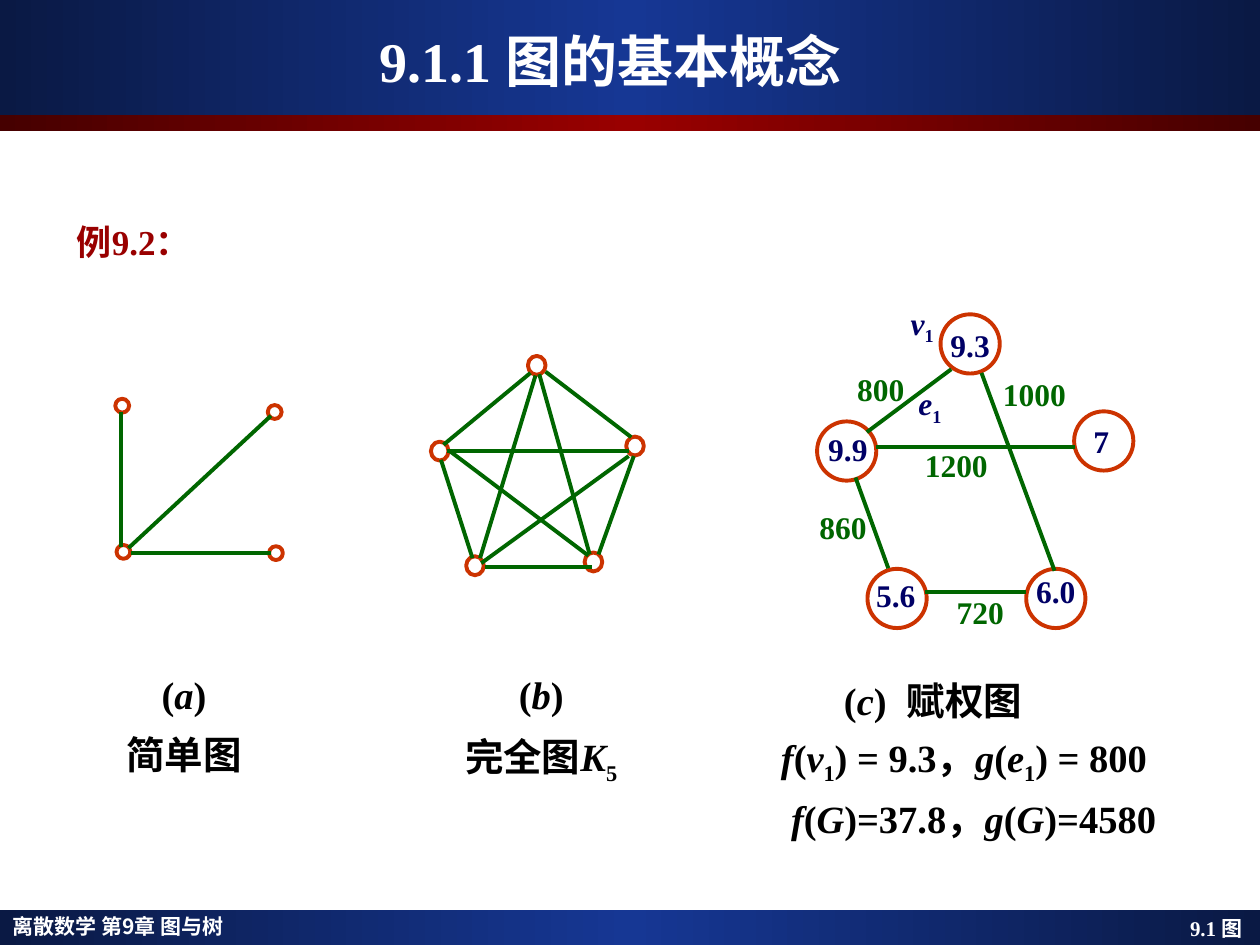
import copy

import pptx
import pptx.dml.color
import pptx.enum.dml
import pptx.enum.shapes
import pptx.enum.text
import pptx.oxml
import pptx.oxml.ns
import pptx.util
from pptx.util import Inches, Pt

RGBColor = pptx.dml.color.RGBColor
ALIGN = pptx.enum.text.PP_ALIGN
ANCHOR = pptx.enum.text.MSO_ANCHOR
SHAPE = pptx.enum.shapes.MSO_SHAPE

WHITE = RGBColor(0xFF, 0xFF, 0xFF)
BLACK = RGBColor(0, 0, 0)
NAVY = RGBColor(0x0A, 0x19, 0x44)
BLUE = RGBColor(0x16, 0x37, 0x94)
MAROON = RGBColor(0x46, 0, 0)
RED = RGBColor(0x99, 0, 0)
VERTEX_COLOR = RGBColor(0xCC, 0x33, 0)
EDGE_COLOR = RGBColor(0, 0x66, 0)
LABEL_COLOR = RGBColor(0, 0, 0x66)

SERIF = "Times New Roman"
SANS = "Noto Sans CJK JP"
WIDTH, HEIGHT = 10, 7.5

BANDS = [(7.22, 0.28, NAVY, BLUE), (0, 0.91, NAVY, BLUE), (0.91, 0.13, MAROON, RED)]

# Vertices are centres; edges are pairs of end points.
GRAPHS = [
    {
        "size": (0.11, 0.11),
        "vertices": [(0.97, 3.22), (0.98, 4.38), (2.18, 3.27), (2.19, 4.39)],
        "edges": [((1.04, 4.39), (2.15, 4.39)), ((0.96, 3.27), (0.96, 4.34)),
                  ((1.02, 4.35), (2.15, 3.3))],
    },
    {
        "size": (0.14, 0.15),
        "vertices": [(4.26, 2.9), (3.49, 3.58), (5.04, 3.54), (3.77, 4.49), (4.71, 4.46)],
        "edges": [((4.21, 2.96), (3.52, 3.53)), ((4.33, 2.95), (5.01, 3.47)),
                  ((4.25, 2.98), (3.81, 4.43)), ((4.28, 2.97), (4.68, 4.4)),
                  ((3.85, 4.5), (4.7, 4.5)), ((3.5, 3.65), (3.75, 4.43)),
                  ((3.55, 3.58), (4.99, 3.58)), ((5.03, 3.62), (4.75, 4.4)),
                  ((4.99, 3.62), (3.82, 4.47)), ((3.57, 3.58), (4.67, 4.41))],
    },
    {
        "size": (0.47, 0.47),
        "vertices": [(7.7, 2.73), (6.72, 3.58), (8.76, 3.5), (7.12, 4.75), (8.38, 4.75)],
        "edges": [((7.55, 2.93), (6.88, 3.43)), ((7.34, 4.7), (8.14, 4.7)),
                  ((6.79, 3.79), (7.05, 4.51)), ((7.79, 2.96), (8.37, 4.53)),
                  ((6.95, 3.55), (8.53, 3.55))],
    },
]

# Text, centre and top; *...* is italic and _..._ is subscript.
WEIGHTS = [("800", 6.99, 2.94), ("1000", 8.21, 2.98), ("860", 6.69, 4.03),
           ("1200", 7.59, 3.54), ("720", 7.78, 4.71)]
VERTEX_LABELS = [("9.3", 7.7, 2.59), ("9.9", 6.73, 3.41), ("7", 8.74, 3.35),
                 ("5.6", 7.11, 4.57), ("6.0", 8.38, 4.54),
                 ("*v*_1_", 7.32, 2.41), ("*e*_1_", 7.38, 3.05)]

CAPTIONS = [
    ((0.75, 5.17, 1.42, 1.06), ["(*a*)", "简单图"], {"align": ALIGN.CENTER, "spacing": 1.3}),
    ((3.42, 5.17, 1.75, 1.12), ["(*b*)", "完全图*K*_5_"], {"align": ALIGN.CENTER, "spacing": 1.3}),
    ((6.1, 5.25, 3.54, 1.48),
     ["\t(*c*)\t赋权图", "*f*(*v*_1_) = 9.3，*g*(*e*_1_) = 800", "*f*(*G*)=37.8，*g*(*G*)=4580"],
     {"spacing": 1.2, "tabs": (0.76, 1.41), "indents": (0, 0, 0.08)}),
]


def write_text(shape, lines, size=18, color=BLACK, font=SERIF, align=ALIGN.LEFT, spacing=1,
               anchor=ANCHOR.TOP, margins=(0.1, 0.05), wrap=True, tabs=(), indents=(0, 0, 0)):
    """Fill a shape with bold paragraphs, reading italic and subscript marks."""
    frame = shape.text_frame
    frame.word_wrap = wrap
    frame.auto_size = pptx.enum.text.MSO_AUTO_SIZE.NONE
    frame.vertical_anchor = anchor
    frame.margin_left = frame.margin_right = Inches(margins[0])
    frame.margin_top = frame.margin_bottom = Inches(margins[1])
    for number, (line, indent) in enumerate(zip(lines, indents)):
        paragraph = frame.add_paragraph() if number else frame.paragraphs[0]
        properties = paragraph._p.get_or_add_pPr()
        properties.set("marL", str(Inches(indent)))
        properties.set("indent", "0")
        pptx.oxml.ns.qn("a:buNone")
        add_child(properties, "a:buNone")
        if tabs:
            tab_list = add_child(properties, "a:tabLst")
            for position in tabs:
                add_child(tab_list, "a:tab", pos=str(Inches(position)), algn="l")
        paragraph.alignment = align
        paragraph.space_before = Pt(0)
        paragraph.line_spacing = spacing
        for italic, part in enumerate(line.split("*")):
            for subscript, piece in enumerate(part.split("_")):
                if piece:
                    run = paragraph.add_run()
                    run.text = piece
                    run.font.size, run.font.bold = Pt(size), True
                    run.font.italic = italic % 2 == 1
                    run.font.color.rgb = color
                    run.font.name = font
                    character = run._r.get_or_add_rPr()
                    add_child(character, "a:ea", typeface=SANS)
                    if subscript % 2:
                        character.set("baseline", "-25000")


def add_child(parent, tag, **attributes):
    child = pptx.oxml.parse_xml(f"<{tag} {pptx.oxml.ns.nsdecls('a')}/>")
    for name, value in attributes.items():
        child.set(name, value)
    parent.append(child)
    return child


def place(shape, left, top, width, height):
    shape.left, shape.top = Inches(left), Inches(top)
    shape.width, shape.height = Inches(width), Inches(height)


def add_text(slide, box, lines, **style):
    write_text(slide.shapes.add_textbox(*map(Inches, box)), lines, **style)


def add_band(slide, top, height, edge, middle):
    band = slide.shapes.add_shape(SHAPE.RECTANGLE, *map(Inches, (0, top, WIDTH, height)))
    band.shadow.inherit = False
    band.line.fill.background()
    band.fill.gradient()
    band.fill.gradient_angle = 0
    first = band._element.spPr.find(".//" + pptx.oxml.ns.qn("a:gs"))
    first.addnext(copy.deepcopy(first))
    for stop, position, color in zip(band.fill.gradient_stops, (0, 0.5, 1), (edge, middle, edge)):
        stop.position = position
        stop.color.rgb = color


def add_graph(slide, size, vertices, edges):
    width, height = size
    for x, y in vertices:
        box = (x - width / 2, y - height / 2, width, height)
        vertex = slide.shapes.add_shape(SHAPE.OVAL, *map(Inches, box))
        vertex.shadow.inherit = False
        vertex.fill.background()
        vertex.line.color.rgb, vertex.line.width = VERTEX_COLOR, Pt(2.25)
    for start, end in edges:
        edge = slide.shapes.add_connector(
            pptx.enum.shapes.MSO_CONNECTOR.STRAIGHT, *map(Inches, start + end))
        edge.line.color.rgb, edge.line.width = EDGE_COLOR, Pt(2.25)
        add_child(edge._element.spPr, "a:effectLst")


def main():
    presentation = pptx.Presentation()
    presentation.slide_width, presentation.slide_height = Inches(WIDTH), Inches(HEIGHT)
    slide = presentation.slides.add_slide(presentation.slide_layouts[1])
    title, body = slide.placeholders
    for band in BANDS:
        add_band(slide, *band)
    for placeholder in (title, body):
        slide.shapes._spTree.append(placeholder._element)
    place(title, 0.22, 0.17, 9.25, 0.62)
    write_text(title, ["9.1.1 图的基本概念"], size=32, color=WHITE,
               align=ALIGN.CENTER, anchor=ANCHOR.MIDDLE)
    place(body, 0.51, 1.7, 1.5, 0.67)
    write_text(body, ["例9.2："], size=20, color=RED)
    add_text(slide, (0, 7.22, 4.13, 0.28), ["离散数学 第9章 图与树"],
             size=12, color=WHITE, font=SANS, spacing=0.9)
    add_text(slide, (7.4, 7.22, 2.56, 0.3), ["9.1 图"],
             size=12, color=WHITE, align=ALIGN.RIGHT)
    for graph in GRAPHS:
        add_graph(slide, **graph)
    for labels, color in ((WEIGHTS, EDGE_COLOR), (VERTEX_LABELS, LABEL_COLOR)):
        for text, center, top in labels:
            add_text(slide, (center - 0.25, top, 0.5, 0.3), [text], color=color,
                     align=ALIGN.CENTER, margins=(0, 0), wrap=False)
    for box, lines, style in CAPTIONS:
        add_text(slide, box, lines, size=22, **style)
    presentation.save("out.pptx")


if __name__ == "__main__":
    main()
